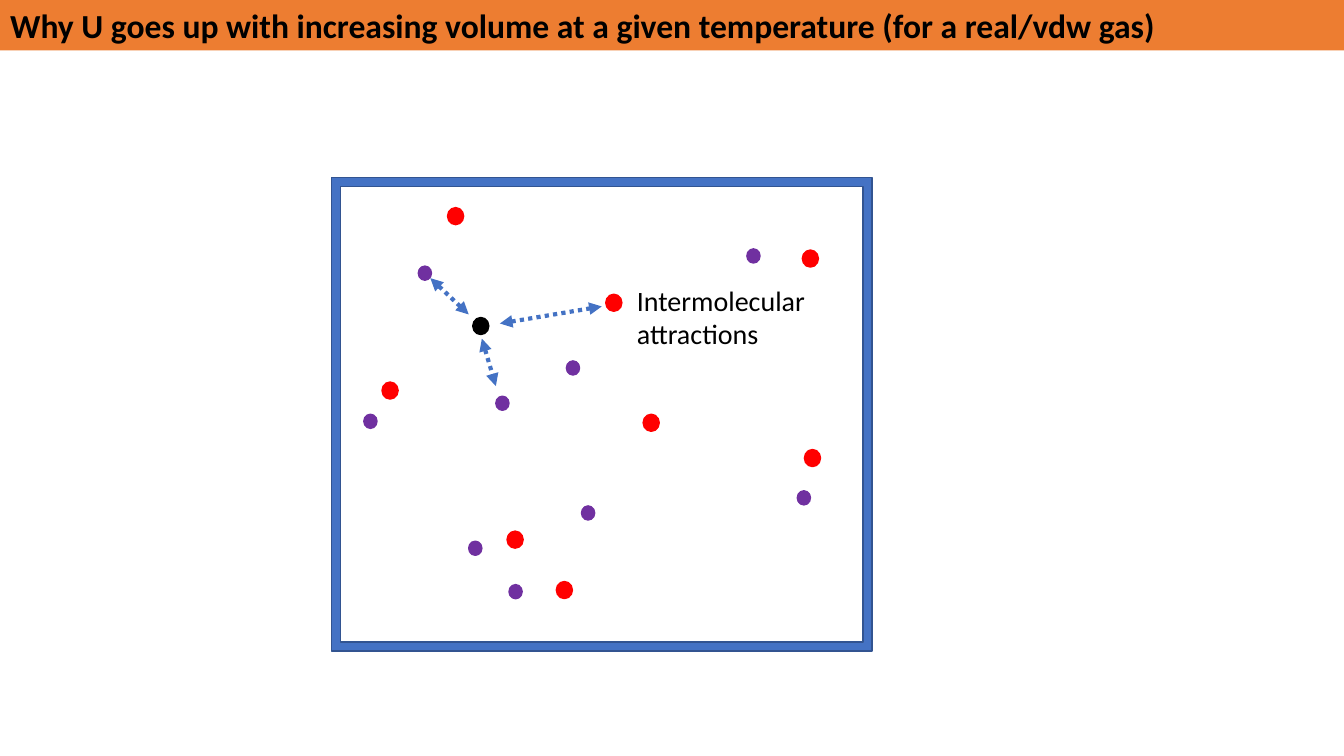
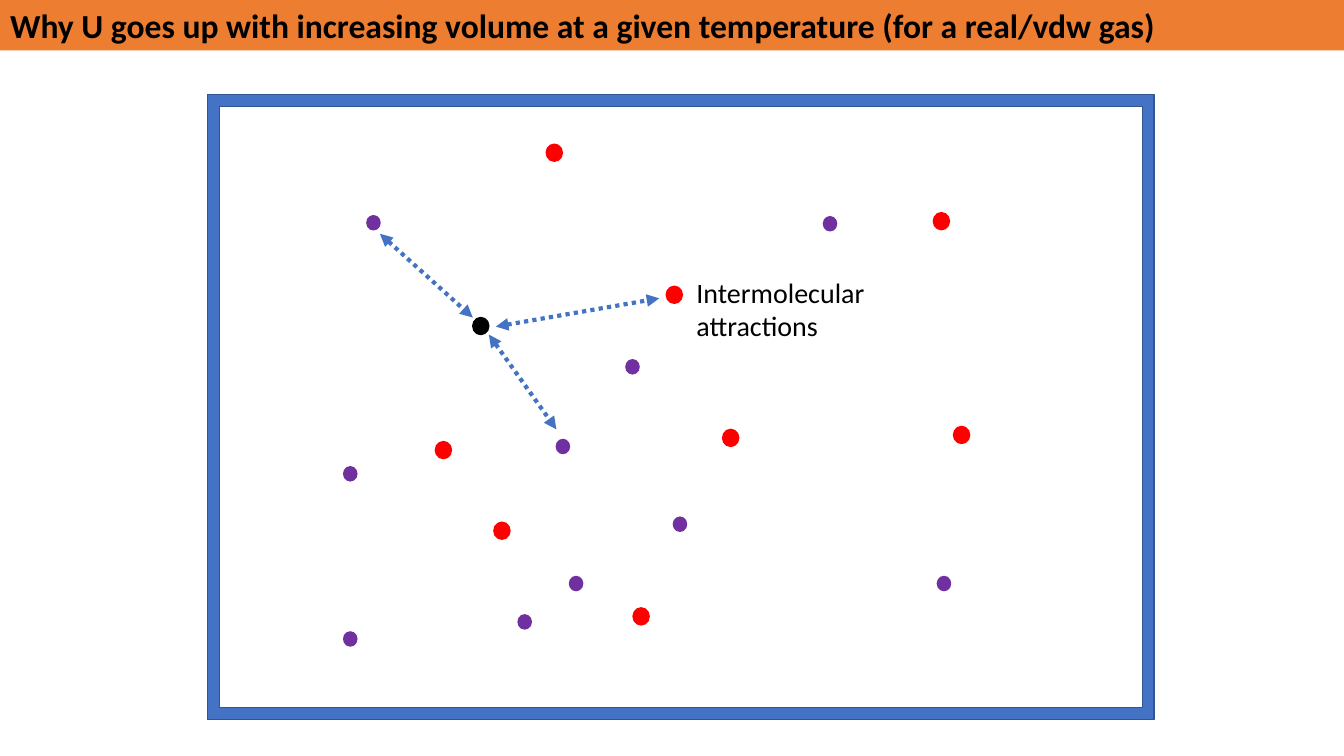
from pptx import Presentation
from pptx.dml.color import RGBColor
from pptx.enum.dml import MSO_LINE
from pptx.enum.shapes import MSO_CONNECTOR, MSO_SHAPE
from pptx.enum.text import MSO_ANCHOR, MSO_AUTO_SIZE, PP_ALIGN
from pptx.oxml.ns import qn
from pptx.util import Pt
from lxml.etree import SubElement

# Shared style
WIDTH, HEIGHT, BAND = 960, 540, 36
FONT = "Calibri"
ORANGE, BLUE, EDGE = "ED7D31", "4472C4", "325491"
PURPLE, RED, BLACK = "7030A0", "FF0000", "000000"
SMALL, LARGE = (9.4, 10.1), (11.5, 12.2)
TITLE = "Why U goes up with increasing volume at a given temperature (for a real/vdw gas)"
LABEL = "Intermolecular attractions"
CENTRE = (337.7, 226.8)

# Content: the same gas in a small and a large box
GASES = [
    {
        "box": (236.9, 126.7, 385.9, 338.4),
        "purple": [(298.8, 190.1), (334.8, 386.6), (404.6, 257.8),
                   (354.2, 283), (533.5, 177.8), (415.4, 361.4),
                   (259.9, 295.9), (569.5, 350.6), (363.6, 417.6)],
        "red": [(319.7, 148.3), (362.2, 379.4), (432.7, 210.2),
                (573.1, 178.6), (459.4, 295.9), (272.9, 272.9),
                (574.6, 321.1), (397.4, 415.4)],
        "pulls": [(357.1, 231.1, 429.8, 218.9),
                  (307.4, 198.7, 334.8, 224.6),
                  (344.2, 241.9, 354.2, 275.8)],
        "label": (447.8, 198.7),
    },
    {
        "box": (148.3, 67.7, 676.1, 446.4),
        "purple": [(262.1, 154.1), (245.5, 451.4), (447.1, 257),
                   (397.4, 313.9), (406.8, 411.8), (588.2, 154.8),
                   (481, 369.4), (245.5, 333.4), (669.6, 411.8),
                   (370.1, 439.2)],
        "red": [(390.2, 103), (352.8, 373), (475.9, 204.5),
                (452.2, 434.2), (666.7, 151.9), (516.2, 306.7),
                (311, 315.4), (681.1, 304.6)],
        "pulls": [(354.2, 233.3, 470.9, 213.1),
                  (271.4, 167, 337.7, 226.8),
                  (349.2, 239, 397.4, 306.7)],
        "label": (490.3, 193),
    },
]


def paint(form, color):
    form.fill.solid()
    form.fill.fore_color.rgb = RGBColor.from_string(color)


def write(shape, text, size, bold=False):
    frame = shape.text_frame
    frame.text = text
    frame.word_wrap = True
    frame.auto_size = MSO_AUTO_SIZE.NONE
    para = frame.paragraphs[0]
    para.alignment = PP_ALIGN.LEFT
    para.line_spacing = 1.0
    font = para.runs[0].font
    font.name, font.size, font.bold = FONT, Pt(size), bold
    font.color.rgb = RGBColor.from_string(BLACK)


def add_form(slide, kind, place, color, edge):
    form = slide.shapes.add_shape(kind, *map(Pt, place))
    form.shadow.inherit = False
    paint(form, color)
    form.line.color.rgb = RGBColor.from_string(edge)
    form.line.width = Pt(1)
    return form


def add_dots(slide, spots, size, color):
    for spot in spots:
        add_form(slide, MSO_SHAPE.OVAL, spot + size, color, color)


def add_pull(slide, ends):
    pull = slide.shapes.add_connector(MSO_CONNECTOR.STRAIGHT, *map(Pt, ends))
    pull.line.color.rgb = RGBColor.from_string(BLUE)
    pull.line.width = Pt(3)
    pull.line.dash_style = MSO_LINE.ROUND_DOT
    props = pull.line._get_or_add_ln()
    for tag in ("a:headEnd", "a:tailEnd"):
        SubElement(props, qn(tag), type="triangle")
    SubElement(props.getparent(), qn("a:effectLst"))


def add_title(slide):
    title = slide.shapes.title
    title.left, title.top = Pt(0), Pt(0)
    title.width, title.height = Pt(WIDTH), Pt(BAND)
    paint(title, ORANGE)
    write(title, TITLE, 24, True)
    title.text_frame.vertical_anchor = MSO_ANCHOR.MIDDLE


def add_gas(deck, gas):
    slide = deck.slides.add_slide(deck.slide_layouts[5])
    add_title(slide)
    # Container and molecules
    box = add_form(slide, MSO_SHAPE.FRAME, gas["box"], BLUE, EDGE)
    box.adjustments[0] = 0.019
    add_dots(slide, gas["purple"], SMALL, PURPLE)
    add_dots(slide, gas["red"], LARGE, RED)
    add_dots(slide, [CENTRE], LARGE, BLACK)
    # Attractions and their label
    for ends in gas["pulls"]:
        add_pull(slide, ends)
    label = slide.shapes.add_textbox(*map(Pt, gas["label"] + (190, 55.4)))
    write(label, LABEL, 20)


def main():
    deck = Presentation()
    deck.slide_width, deck.slide_height = Pt(WIDTH), Pt(HEIGHT)
    for gas in GASES:
        add_gas(deck, gas)
    deck.save("out.pptx")


if __name__ == "__main__":
    main()
